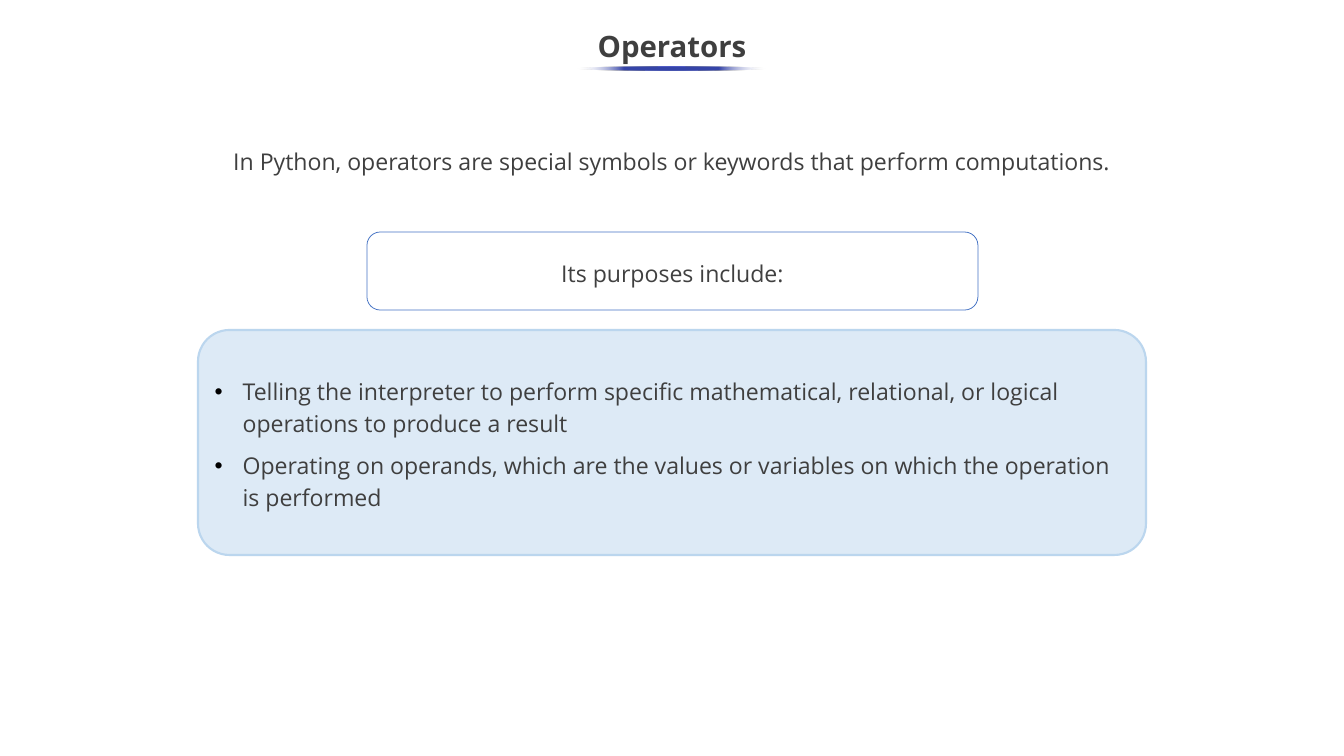
import dataclasses

import lxml.etree
import pptx
import pptx.dml.color
import pptx.enum.shapes
import pptx.enum.text
import pptx.oxml.ns
import pptx.util

SHAPE = pptx.enum.shapes.MSO_SHAPE
ALIGN = pptx.enum.text.PP_ALIGN
WIDE, HIGH = 1344, 756
qn = pptx.oxml.ns.qn


@dataclasses.dataclass
class Theme:
    font: str = "Open Sans"
    head: int = 28
    body: int = 22
    ink: str = "3F3F3F"
    soft: str = "404040"
    rule: str = "3645A9"
    edge: str = "4472C4"
    panel: str = "DDEAF6"
    rim: str = "BBD6EE"
    white: str = "FFFFFF"
    dot: str = "000000"


def px(n):
    return pptx.util.Emu(round(n * 914400 / 75.6))


def rgb(code):
    return pptx.dml.color.RGBColor.from_string(code)


def add(node, tag, **attrs):
    return lxml.etree.SubElement(node, qn(tag), attrs)


class Deck:
    def __init__(self, theme):
        self.theme = theme
        self.file = pptx.Presentation()
        self.file.slide_width, self.file.slide_height = px(WIDE), px(HIGH)
        self.slide = self.file.slides.add_slide(self.file.slide_layouts[6])

    def words(self, shape, lines, size, color=None, bold=False,
              space=1.0, gap=0, indent=0):
        """Fill a shape with paragraphs; an indent makes them bullets."""
        frame = shape.text_frame
        frame.word_wrap = True
        frame.vertical_anchor = pptx.enum.text.MSO_ANCHOR.MIDDLE
        for i, line in enumerate(lines):
            para = frame.paragraphs[0] if i == 0 else frame.add_paragraph()
            para.alignment = ALIGN.LEFT if indent else ALIGN.CENTER
            para.line_spacing = space
            if i:
                para.space_before = pptx.util.Pt(gap)
            if indent:
                self.bullet(para, indent)
            run = para.add_run()
            run.text = line
            run.font.name = self.theme.font
            run.font.size = pptx.util.Pt(size)
            run.font.bold = bold
            run.font.color.rgb = rgb(color or self.theme.ink)

    def bullet(self, para, indent):
        props = para._p.get_or_add_pPr()
        props.set("marL", str(px(indent)))
        props.set("indent", str(-px(indent)))
        add(add(props, "a:buClr"), "a:srgbClr", val=self.theme.dot)
        add(props, "a:buFont", typeface="Arial")
        add(props, "a:buChar", char="•")

    def label(self, box, lines, size, **style):
        shape = self.slide.shapes.add_textbox(*map(px, box))
        self.words(shape, lines, size, **style)

    def card(self, box, curve, lines, fill=None, line=None, width=1,
             **style):
        shape = self.slide.shapes.add_shape(
            SHAPE.ROUNDED_RECTANGLE, *map(px, box))
        shape.shadow.inherit = False
        shape.adjustments[0] = curve
        if fill:
            shape.fill.solid()
            shape.fill.fore_color.rgb = rgb(fill)
        else:
            shape.fill.background()
        if line:
            shape.line.color.rgb = rgb(line)
            shape.line.width = pptx.util.Pt(width)
        else:
            shape.line.fill.background()
        self.words(shape, lines, self.theme.body, **style)

    def rule(self, box):
        """Thin ellipse that fades out at both ends."""
        shape = self.slide.shapes.add_shape(SHAPE.OVAL, *map(px, box))
        shape.shadow.inherit = False
        shape.line.fill.background()
        shape.fill.gradient()
        shape.fill.gradient_angle = 180
        stops = shape._element.spPr.find(qn("a:gradFill")).find(qn("a:gsLst"))
        for stop in list(stops):
            stops.remove(stop)
        for at in (0, 25, 50, 75, 100):
            end = at in (0, 100)
            stop = add(stops, "a:gs", pos=str(at * 1000))
            tint = add(stop, "a:srgbClr",
                       val=self.theme.white if end else self.theme.rule)
            if end:
                add(tint, "a:alpha", val="0")


def main():
    theme = Theme()
    deck = Deck(theme)

    # Title
    deck.label((0, 19, WIDE, 57), ["Operators"], theme.head,
               bold=True, space=0.9)

    # Definition, then the title's underline
    deck.card((133, 122, 1077, 78), 0.12, [
        "In Python, operators are special symbols or keywords "
        "that perform computations."])
    deck.rule((578, 67, 187, 3))

    # Purposes: heading and list
    deck.card((367, 232, 611, 78), 0.17, ["Its purposes include:"],
              line=theme.edge, width=0.75, color=theme.soft, space=1.15)
    deck.card((198, 330, 948, 225), 0.14, [
        "Telling the interpreter to perform specific mathematical, "
        "relational, or logical operations to produce a result",
        "Operating on operands, which are the values or variables "
        "on which the operation is performed"],
        fill=theme.panel, line=theme.rim, width=2,
        space=1.15, gap=10, indent=28)

    deck.file.save("out.pptx")


if __name__ == "__main__":
    main()
